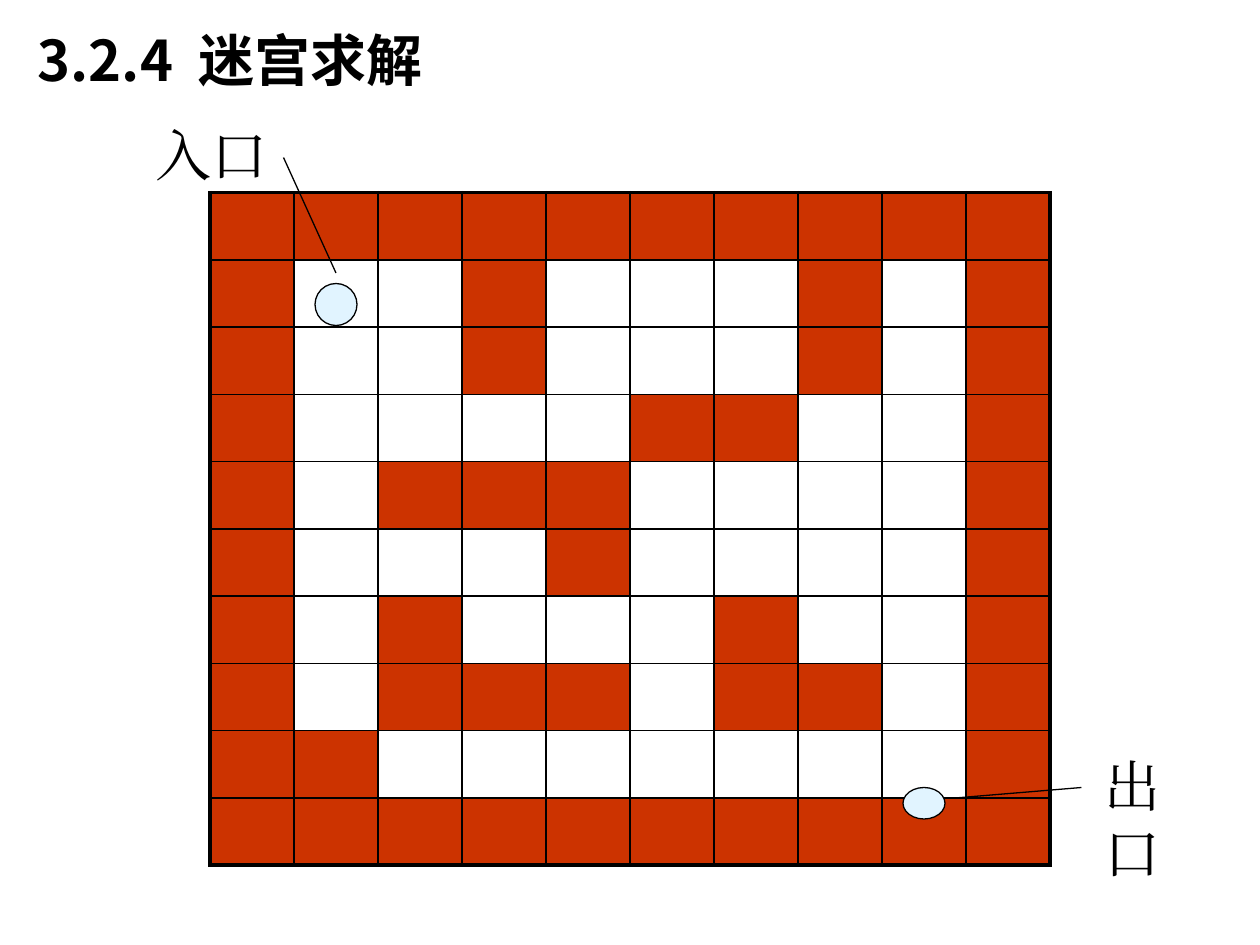
import dataclasses
import itertools
import typing

import pptx
import pptx.dml.color
import pptx.enum.shapes
import pptx.enum.text
import pptx.oxml
import pptx.oxml.ns
import pptx.util

Pt = pptx.util.Pt
RGB = pptx.dml.color.RGBColor
SHAPE = pptx.enum.shapes.MSO_SHAPE


@dataclasses.dataclass(frozen=True)
class Theme:
    ink: str = "000000"
    wall: str = "CC3300"
    marker: str = "E1F4FF"
    text_size: float = 32
    thin: float = 0.75
    inner: float = 1
    outer: float = 2.25
    body_font: str = "Times New Roman"
    title_font: str = "Noto Sans CJK SC"


class Box(typing.NamedTuple):
    left: float
    top: float
    width: float
    height: float

    def lengths(self) -> list:
        return [Pt(v) for v in self]


class Marker(typing.NamedTuple):
    kind: typing.Any
    box: Box
    start: tuple
    end: tuple


class Label(typing.NamedTuple):
    words: tuple
    box: Box
    font: str
    bold: bool = False
    gap: float = 0


THEME = Theme()
MAZE = (
    "##########",
    "#..#...#.#",
    "#..#...#.#",
    "#....##..#",
    "#.###....#",
    "#...#....#",
    "#.#...#..#",
    "#.###.##.#",
    "##.......#",
    "##########",
)
COL, ROW = 48, 38.45
MAZE_LEFT, MAZE_TOP = 120, 110

MARKERS = (
    Marker(SHAPE.FLOWCHART_CONNECTOR, Box(180, 162, 24, 24), (192, 156), (162, 90)),
    Marker(SHAPE.OVAL, Box(516, 450, 24, 18), (546, 456), (618, 450)),
)
LABELS = (
    Label(("出口",), Box(624, 426, 48, 84), THEME.body_font),
    Label(("3.2.4", " ", "迷宫求解"), Box(14.4, 10.8, 240, 45.4),
          THEME.title_font, True, 7),
    Label(("入口",), Box(82, 65.5, 119, 45.4), THEME.body_font),
)


def set_all(obj: typing.Any, values: dict) -> None:
    for name, value in values.items():
        setattr(obj, name, value)


def add_border(tcPr: typing.Any, side: str, width: float) -> None:
    ns = pptx.oxml.ns.nsdecls("a")
    tcPr.append(pptx.oxml.parse_xml(
        f'<a:ln{side} {ns} w="{int(Pt(width))}"><a:solidFill>'
        f'<a:srgbClr val="{THEME.ink}"/></a:solidFill></a:ln{side}>'))


def add_maze(slide: typing.Any) -> None:
    rows, cols = len(MAZE), len(MAZE[0])
    box = Box(MAZE_LEFT, MAZE_TOP, cols * COL, rows * ROW)
    tbl = slide.shapes.add_table(rows, cols, *box.lengths()).table
    set_all(tbl, {"first_row": False, "horz_banding": False})
    for col in tbl.columns:
        col.width = Pt(COL)
    for row in tbl.rows:
        row.height = Pt(ROW)
    for i, j in itertools.product(range(rows), range(cols)):
        cell = tbl.cell(i, j)
        edges = {"L": j == 0, "R": j == cols - 1, "T": i == 0, "B": i == rows - 1}
        for side, is_outer in edges.items():
            add_border(cell._tc.get_or_add_tcPr(), side,
                       THEME.outer if is_outer else THEME.inner)
        if MAZE[i][j] == "#":
            cell.fill.solid()
            cell.fill.fore_color.rgb = RGB.from_string(THEME.wall)
        else:
            cell.fill.background()


def style_line(sp: typing.Any) -> None:
    sp.line.color.rgb = RGB.from_string(THEME.ink)
    sp.line.width = Pt(THEME.thin)


def add_marker(slide: typing.Any, marker: Marker) -> None:
    sp = slide.shapes.add_shape(marker.kind, *marker.box.lengths())
    sp.shadow.inherit = False
    sp.fill.solid()
    sp.fill.fore_color.rgb = RGB.from_string(THEME.marker)
    style_line(sp)
    ends = [Pt(v) for v in marker.start + marker.end]
    line = slide.shapes.add_connector(
        pptx.enum.shapes.MSO_CONNECTOR.STRAIGHT, *ends)
    style_line(line)
    line._element.spPr.append(pptx.oxml.parse_xml(
        f'<a:effectLst {pptx.oxml.ns.nsdecls("a")}/>'))


def add_label(slide: typing.Any, label: Label) -> None:
    tf = slide.shapes.add_textbox(*label.box.lengths()).text_frame
    set_all(tf, {"word_wrap": True,
                 "auto_size": pptx.enum.text.MSO_AUTO_SIZE.SHAPE_TO_FIT_TEXT})
    p = tf.paragraphs[0]
    for text in label.words:
        r = p.add_run()
        r.text = text
        set_all(r.font, {"name": label.font, "size": Pt(THEME.text_size),
                         "bold": label.bold})
        r.font.color.rgb = RGB.from_string(THEME.ink)
        rPr = r._r.get_or_add_rPr()
        rPr.append(pptx.oxml.parse_xml(
            f'<a:ea {pptx.oxml.ns.nsdecls("a")} typeface="{label.font}"/>'))
        if text == " ":
            rPr.set("spc", str(int(label.gap * 100)))


def main() -> None:
    prs = pptx.Presentation()
    set_all(prs, {"slide_width": Pt(720), "slide_height": Pt(540)})
    slide = prs.slides.add_slide(prs.slide_layouts[6])
    add_maze(slide)
    for marker in MARKERS:
        add_marker(slide, marker)
    for label in LABELS:
        add_label(slide, label)
    prs.save("out.pptx")


if __name__ == "__main__":
    main()
